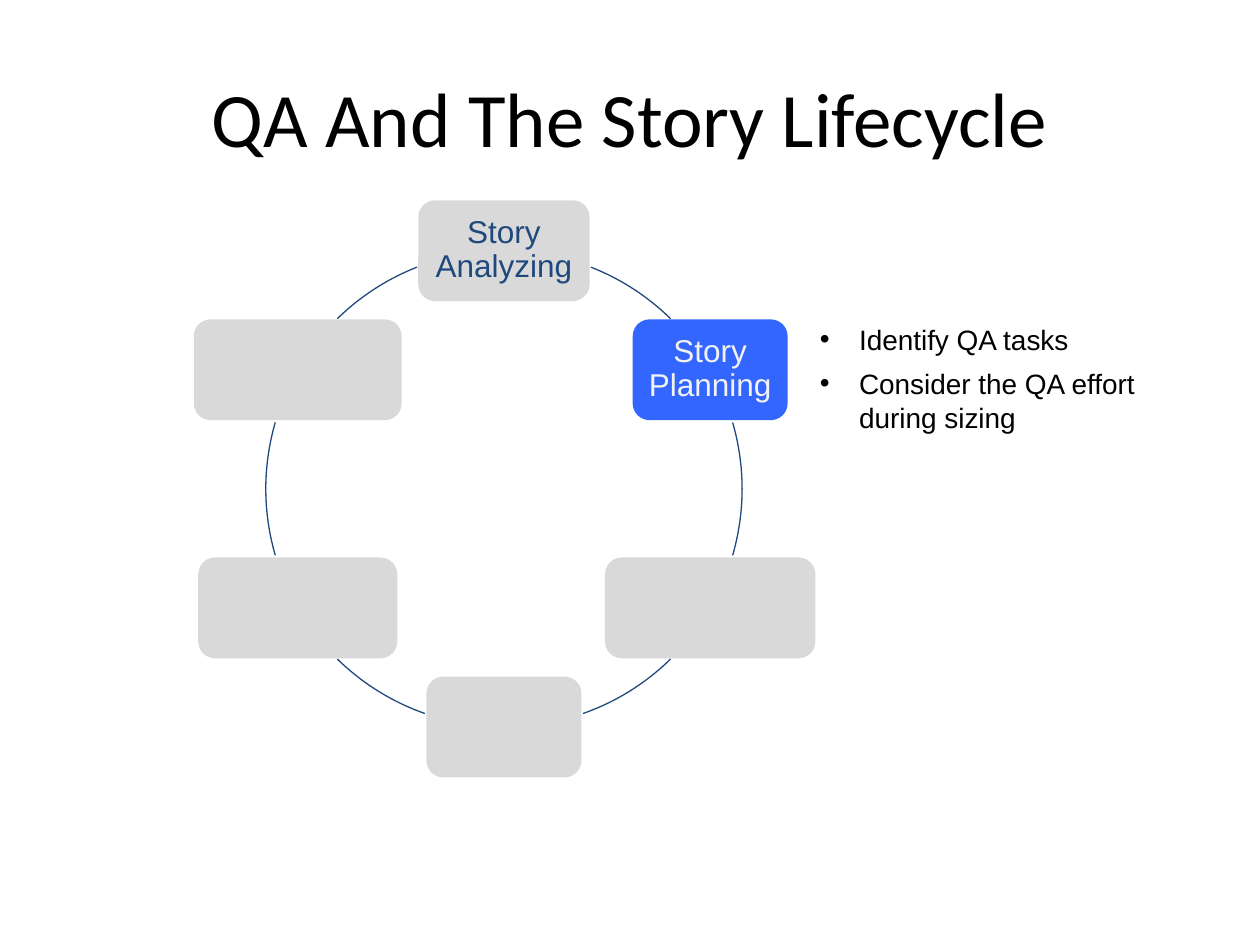
import math
from dataclasses import dataclass

from lxml import etree
from pptx import Presentation
from pptx import util as u
from pptx.dml.color import RGBColor
from pptx.enum import shapes, text
from pptx.oxml.ns import qn

COLOURS = {
    "black": "000000",
    "navy": "1F497D",
    "grey": "D9D9D9",
    "blue": "3366FF",
    "pale": "F2F2F2",
}
CENTRE_X, CENTRE_Y, RADIUS = 4.0, 3.88, 1.89
STAGE_HEIGHT = 0.8
INDENT = u.Inches(0.31)


@dataclass
class Stage:
    width: float
    label: str = ""
    fill: str = "grey"
    ink: str = "navy"


@dataclass
class Arc:
    start: float
    end: float


# Clockwise from the top of the cycle
STAGES = [
    Stage(1.36, "Story Analyzing"),
    Stage(1.23, "Story Planning", "blue", "pale"),
    Stage(1.67),
    Stage(1.23),
    Stage(1.58),
    Stage(1.65),
]
# Degrees clockwise from the right
ARCS = [
    Arc(291.4, 314.4),
    Arc(343.8, 16.2),
    Arc(45.6, 70.6),
    Arc(109.4, 134.4),
    Arc(163.8, 196.2),
    Arc(225.6, 248.6),
]
TASKS = ["Identify QA tasks", "Consider the QA effort during sizing"]


def colour(name: str) -> RGBColor:
    return RGBColor.from_string(COLOURS[name])


def apply_format(target, values: dict) -> None:
    for name, value in values.items():
        setattr(target, name, value)


def write(paragraph, content: str, size: float, ink: str,
          font: str = "Arial", **paragraph_format) -> None:
    paragraph.text = content
    apply_format(paragraph, paragraph_format)
    apply_format(paragraph.runs[0].font, {"size": u.Pt(size), "name": font})
    paragraph.runs[0].font.color.rgb = colour(ink)


def add_text_frame(slide, left: float, top: float, width: float, height: float):
    box = slide.shapes.add_textbox(*map(u.Inches, (left, top, width, height)))
    box.text_frame.word_wrap = True
    return box.text_frame


def add_title(slide) -> None:
    frame = add_text_frame(slide, 0.5, 0.3, 9, 1.25)
    frame.vertical_anchor = text.MSO_ANCHOR.MIDDLE
    write(frame.paragraphs[0], "QA And The Story Lifecycle", 44, "black",
          "Calibri", alignment=text.PP_ALIGN.CENTER)


def add_arc(slide, arc: Arc) -> None:
    shape = slide.shapes.add_shape(
        shapes.MSO_SHAPE.ARC,
        u.Inches(CENTRE_X - RADIUS), u.Inches(CENTRE_Y - RADIUS),
        u.Inches(2 * RADIUS), u.Inches(2 * RADIUS),
    )
    # Adjustments are in units of 100000; angles in 60000ths of a degree
    for index, angle in enumerate((arc.start, arc.end)):
        shape.adjustments[index] = angle * 0.6
    shape.shadow.inherit = False
    shape.fill.background()
    shape.line.color.rgb = colour("navy")
    shape.line.width = u.Pt(0.75)


def add_stage(slide, stage: Stage, angle: float) -> None:
    """Draw a stage centred on the cycle at an angle in degrees."""
    x = CENTRE_X + RADIUS * math.cos(math.radians(angle))
    y = CENTRE_Y + RADIUS * math.sin(math.radians(angle))
    shape = slide.shapes.add_shape(
        shapes.MSO_SHAPE.ROUNDED_RECTANGLE,
        u.Inches(x - stage.width / 2), u.Inches(y - STAGE_HEIGHT / 2),
        u.Inches(stage.width), u.Inches(STAGE_HEIGHT),
    )
    shape.shadow.inherit = False
    shape.fill.solid()
    shape.fill.fore_color.rgb = colour(stage.fill)
    shape.line.fill.background()
    if stage.label:
        frame = shape.text_frame
        margins = ("margin_left", "margin_right", "margin_top", "margin_bottom")
        apply_format(frame, dict.fromkeys(margins, u.Inches(0.06)))
        apply_format(frame, {"word_wrap": True,
                             "vertical_anchor": text.MSO_ANCHOR.MIDDLE})
        write(frame.paragraphs[0], stage.label, 18, stage.ink,
              alignment=text.PP_ALIGN.CENTER, line_spacing=0.9)


def add_bullet(paragraph) -> None:
    properties = paragraph._p.get_or_add_pPr()
    properties.set("marL", str(INDENT))
    properties.set("indent", str(-INDENT))
    for tag, attributes in (("a:buFont", {"typeface": "Arial"}),
                            ("a:buChar", {"char": "•"})):
        etree.SubElement(properties, qn(tag), attributes)


def add_tasks(slide) -> None:
    frame = add_text_frame(slide, 6.41, 2.51, 2.93, 1.35)
    for index, task in enumerate(TASKS):
        paragraph = frame.add_paragraph() if index else frame.paragraphs[0]
        write(paragraph, task, 16, "black", space_after=u.Pt(6))
        add_bullet(paragraph)


def main() -> None:
    presentation = Presentation()
    apply_format(presentation, {"slide_width": u.Inches(10),
                                "slide_height": u.Inches(7.5)})
    slide = presentation.slides.add_slide(presentation.slide_layouts[6])
    add_title(slide)
    step = 360 / len(STAGES)
    for index, (stage, arc) in enumerate(zip(STAGES, ARCS)):
        add_stage(slide, stage, index * step - 90)
        add_arc(slide, arc)
    add_tasks(slide)
    presentation.save("out.pptx")


if __name__ == "__main__":
    main()
